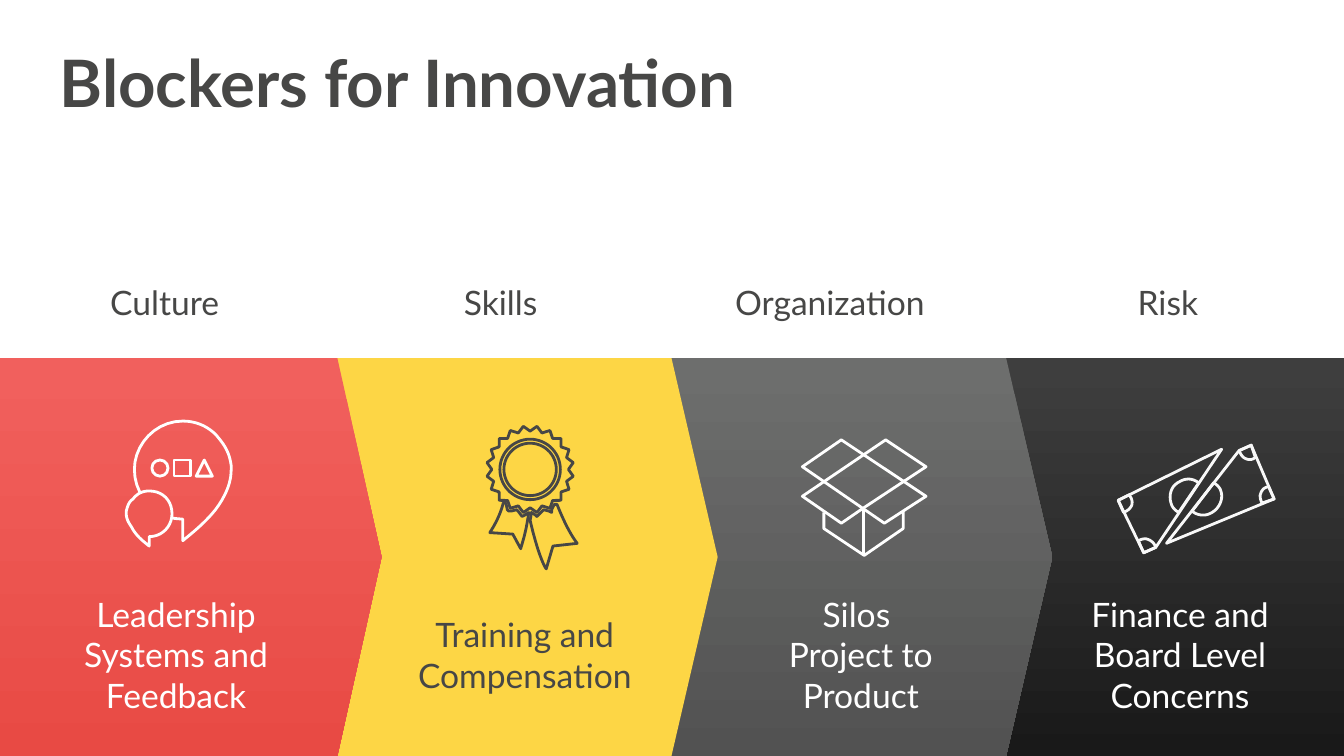
import math

import pptx
import pptx.dml.color
import pptx.enum.shapes
import pptx.enum.text
import pptx.util
from lxml import etree
from pptx.oxml.ns import qn

RGB = pptx.dml.color.RGBColor
SHAPE = pptx.enum.shapes.MSO_SHAPE
ALIGN = pptx.enum.text.PP_ALIGN
ANCHOR = pptx.enum.text.MSO_ANCHOR

WHITE = RGB(0xFF, 0xFF, 0xFF)
PALE = RGB(0xF8, 0xF8, 0xF8)
INK = RGB(0x47, 0x47, 0x46)
CORAL = RGB(0xEE, 0x58, 0x53)
REDS = RGB(0xF1, 0x60, 0x5D), RGB(0xE8, 0x4A, 0x44)
GOLD = (RGB(0xFD, 0xD6, 0x45),)
GREYS = RGB(0x6D, 0x6E, 0x6D), RGB(0x52, 0x52, 0x52)
BLACKS = RGB(0x3E, 0x3E, 0x3E), RGB(0x19, 0x19, 0x19)

# The slide is a grid of 100 columns by 56.25 rows; an icon has 120 by 120 cells.
COLS, ROWS, CELLS = 100, 56.25, 120
UNIT = pptx.util.Inches(0.1)


def grid(*sizes):
    return [round(size * UNIT) for size in sizes]


def write(slide, box, lines, size, color, align=ALIGN.CENTER,
          anchor=ANCHOR.TOP, bold=False, lead=None):
    frame = slide.shapes.add_textbox(*grid(*box)).text_frame
    frame.word_wrap = True
    frame.vertical_anchor = anchor
    para = frame.paragraphs[0]
    para.alignment = align
    if lead:
        para.line_spacing = lead
    for i, line in enumerate(lines):
        if i:
            para.add_line_break()
        run = para.add_run()
        run.text = line
        run.font.name = "Lato"
        run.font.size = pptx.util.Pt(size)
        run.font.bold = bold
        run.font.color.rgb = color


def panel(slide, box, kind, tones):
    shape = slide.shapes.add_shape(kind, *grid(*box))
    shape.shadow.inherit = False
    shape.line.fill.background()
    if kind == SHAPE.PENTAGON:
        shape.adjustments[0] = 0.116
    if len(tones) == 1:
        shape.fill.solid()
        shape.fill.fore_color.rgb = tones[0]
        return
    shape.fill.gradient()
    shape.fill.gradient_angle = 270
    for stop, tone, place in zip(shape.fill.gradient_stops, tones, (0.02, 1)):
        stop.color.rgb = tone
        stop.position = place


def style(shape, color, fill=None):
    shape.shadow.inherit = False
    shape.line.color.rgb = color
    shape.line.width = pptx.util.Pt(1.5)
    if fill is None:
        shape.fill.background()
    else:
        shape.fill.solid()
        shape.fill.fore_color.rgb = fill


def trace(path, steps=10):
    """Turn corners (x, y) and cubic curves (six numbers) into points."""
    points = [path[0]]
    for part in path[1:]:
        if len(part) == 2:
            points.append(part)
            continue
        ends = points[-1], part[:2], part[2:4], part[4:]
        for i in range(1, steps + 1):
            t = i / steps
            mix = (1 - t) ** 3, 3 * t * (1 - t) ** 2, 3 * t * t * (1 - t), t ** 3
            points.append(tuple(sum(m * p[k] for m, p in zip(mix, ends))
                                for k in (0, 1)))
    return points


def draw(slide, box, paths, color, fill=None, close=True):
    left, top, side = grid(*box[:3])
    cell = side / CELLS
    build = None
    for path in paths:
        points = [(round(left + x * cell), round(top + y * cell))
                  for x, y in trace(path)]
        if build is None:
            build = slide.shapes.build_freeform(*points[0], scale=1.0)
        else:
            build.move_to(*points[0])
        build.add_line_segments(points[1:], close=close)
    style(build.convert_to_shape(), color, fill)


def ring(radii, count):
    """Points round the rosette's centre, taking the radii in turn."""
    turn = 2 * math.pi / count
    return [(60 + radii[i % len(radii)] * math.cos(i * turn),
             39 + radii[i % len(radii)] * math.sin(i * turn))
            for i in range(count)]


def talk(slide, box):
    draw(slide, box, [[
        (92, 39), (92, 39, 92, 37, 92, 36), (91, 28, 88, 22, 83, 16),
        (77, 8, 67, 3, 56, 3), (36, 3, 20, 20, 20, 39), (20, 59, 36, 76, 56, 76),
        (56, 92), (67, 83, 78, 74, 85, 62), (89, 55, 92, 48, 92, 39)]], WHITE)
    cell = box[2] / CELLS
    for i, kind in enumerate((SHAPE.OVAL, SHAPE.RECTANGLE,
                              SHAPE.ISOSCELES_TRIANGLE)):
        spot = grid(box[0] + (33 + 16.5 * i) * cell, box[1] + 32 * cell,
                    12 * cell, 12 * cell)
        style(slide.shapes.add_shape(kind, *spot), WHITE)
    draw(slide, box, [[
        (14, 72), (14, 71, 14, 71, 14, 70), (15, 66, 16, 63, 19, 61),
        (22, 57, 26, 55, 31, 55), (41, 55, 48, 62, 48, 72),
        (48, 81, 41, 89, 31, 89), (31, 96), (26, 92, 21, 88, 18, 82),
        (16, 79, 14, 76, 14, 72)]], WHITE, CORAL)


def award(slide, box):
    left = [(56, 73), (59, 71), (57, 86, 54, 94, 53, 98), (47, 87), (45, 87),
            (30, 86), (34, 80, 38, 72, 40, 64), (42, 64), (43, 69), (44, 70),
            (46, 70), (50, 69), (51, 70), (54, 74)]
    right = [(80, 65), (78, 65), (76, 69), (76, 71), (74, 70), (70, 69),
             (69, 70), (66, 73), (65, 74), (64, 73), (61, 71), (60, 77),
             (67, 107, 72, 113, 72, 113), (77, 96), (95, 94),
             (89, 86, 84, 75, 80, 65)]
    draw(slide, box, [left, right, ring((28.5, 32.5), 40), ring((22.5,), 60),
                      ring((19.5,), 60)], INK)


def crate(slide, box):
    draw(slide, box, [[(30, 71), (30, 83), (60, 103), (89, 83), (89, 70)]],
         WHITE, close=False)
    cell = box[2] / CELLS
    ends = grid(box[0] + 59.5 * cell, box[1] + 103 * cell,
                box[0] + 59.5 * cell, box[1] + 68 * cell)
    edge = slide.shapes.add_connector(
        pptx.enum.shapes.MSO_CONNECTOR.STRAIGHT, *ends)
    edge.line.color.rgb = WHITE
    edge.line.width = pptx.util.Pt(1.5)
    etree.SubElement(edge._element.spPr, qn("a:effectLst"))
    for flap in ([(76, 17), (14, 59), (43, 79), (59, 68), (106, 37)],
                 [(14, 37), (75, 79), (106, 59), (43, 17)]):
        draw(slide, box, [flap], WHITE)


def cash(slide, box):
    for path in (
            [(92, 25), (38, 94), (118, 61), (101, 21)],
            [(92, 25), (93, 27, 94, 30, 97, 31), (99, 32, 102, 32, 104, 30),
             (101, 21)],
            [(109, 64), (108, 62, 107, 59, 108, 57),
             (109, 54, 111, 52, 114, 52), (118, 61)],
            [(57, 70), (60, 73, 66, 74, 70, 72), (77, 69, 81, 61, 78, 54),
             (77, 52, 75, 50, 73, 49)],
            [(30, 97), (79, 24), (2, 62), (21, 101)],
            [(30, 97), (29, 94, 27, 92, 24, 91), (22, 90, 19, 91, 17, 92),
             (21, 101)],
            [(10, 58), (12, 60, 13, 63, 12, 66), (11, 68, 9, 70, 6, 71),
             (2, 62)],
            [(62, 49), (58, 46, 53, 45, 48, 48), (41, 51, 39, 59, 42, 66),
             (43, 68, 45, 70, 47, 71)]):
        draw(slide, box, [path], PALE)


def main():
    deck = pptx.Presentation()
    deck.slide_width, deck.slide_height = grid(COLS, ROWS)
    slide = deck.slides.add_slide(deck.slide_layouts[6])
    write(slide, (3.45, 3.3, 94, 16.3), ["Blockers for Innovation"], 35, INK,
          ALIGN.LEFT, bold=True, lead=0.9)

    for left, wide, kind, tones in (
            (74.2, 25.8, SHAPE.RECTANGLE, BLACKS),
            (38.5, 39.8, SHAPE.PENTAGON, GREYS),
            (13.6, 39.8, SHAPE.PENTAGON, GOLD),
            (0, 28.4, SHAPE.PENTAGON, REDS)):
        panel(slide, (left, 26.65, wide, 29.6), kind, tones)

    steps = (
        ("Culture", 24.5, talk, 8, 3.35, ["Leadership Systems and Feedback"], WHITE),
        ("Skills", 25.5, award, 33.45, 29.3, ["Training and Compensation"], INK),
        ("Organization", 25.5, crate, 58.3, 54.3,
         ["Silos ", "Project to Product"], WHITE),
        ("Risk", 24.8, cash, 83, 78.05, ["Finance and Board Level Concerns"], WHITE))
    for i, (name, wide, icon, spot, left, lines, color) in enumerate(steps):
        write(slide, (24.5 * i + (i == 3), 20.8, wide, 5.1), [name], 18, INK,
              lead=0.9)
        icon(slide, (spot, 31.03, 12, 12))
        write(slide, (left, 38.95, 19.5, 19.5), lines, 18, color,
              anchor=ANCHOR.MIDDLE)
    deck.save("out.pptx")


if __name__ == "__main__":
    main()
